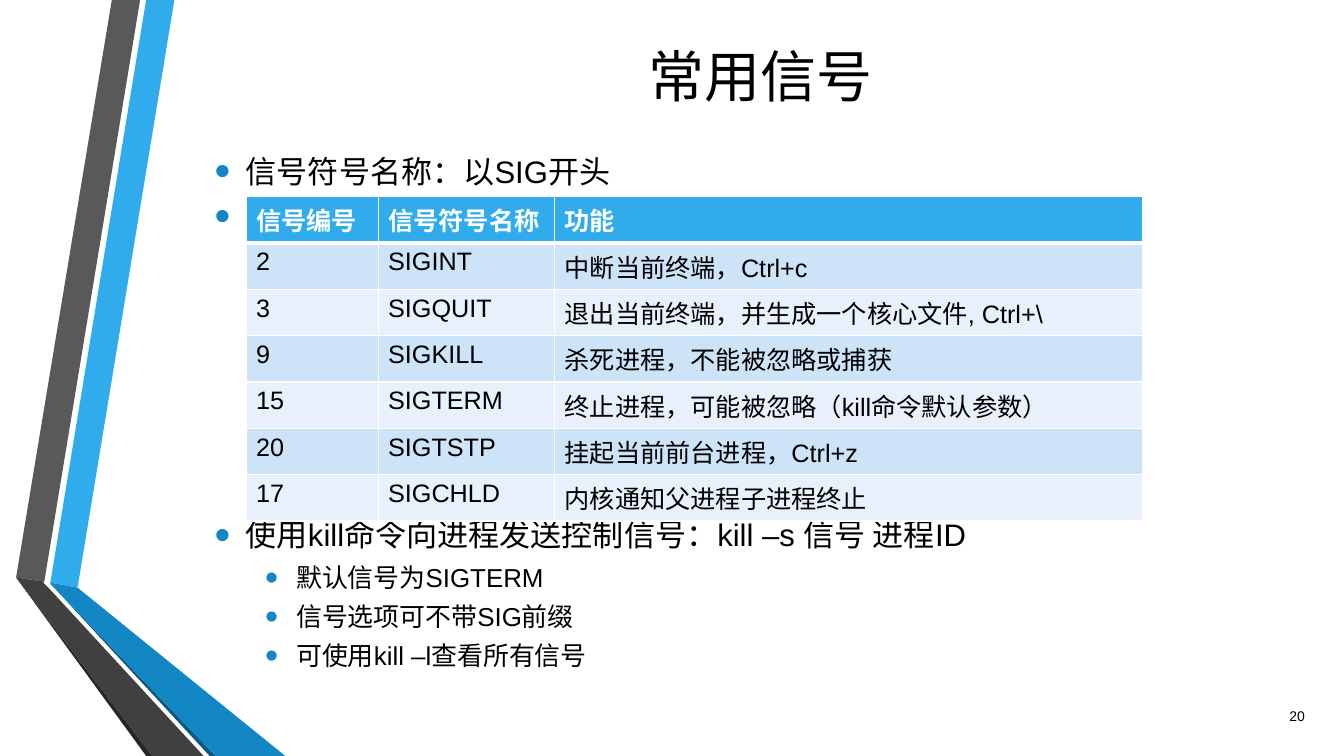
from lxml.etree import SubElement
from pptx import Presentation
from pptx.dml.color import RGBColor
from pptx.enum.text import MSO_ANCHOR, PP_ALIGN
from pptx.oxml.ns import qn
from pptx.util import Pt

PX = 9144
FONT = "Arial"
COLORS = {
    "text": "000000", "white": "FFFFFF", "blue": "30ACEC", "deep_blue": "1287C3",
    "navy": "0C5A82", "gray": "595959", "dark_gray": "404040", "near_black": "262626",
    "band_dark": "CDE3F8", "band_light": "E8F1FB",
}
RIBBONS = [
    ("blue", [(50, 578), (77, 583), (173, 0), (145, 0)]),
    ("gray", [(139, 0), (111, 0), (16, 573), (44, 577)]),
    ("near_black", [(16, 573), (145, 750), (151, 750)]),
    ("navy", [(50, 579), (208, 750), (214, 750)]),
    ("deep_blue", [(50, 578), (50, 579), (214, 750), (283, 750), (77, 583)]),
    ("dark_gray", [(202, 750), (48, 583), (43, 578), (44, 577), (16, 573), (151, 750)]),
]
SIGNALS = [
    ("信号编号", "信号符号名称", "功能"),
    ("2", "SIGINT", "中断当前终端，Ctrl+c"),
    ("3", "SIGQUIT", "退出当前终端，并生成一个核心文件, Ctrl+\\"),
    ("9", "SIGKILL", "杀死进程，不能被忽略或捕获"),
    ("15", "SIGTERM", "终止进程，可能被忽略（kill命令默认参数）"),
    ("20", "SIGTSTP", "挂起当前前台进程，Ctrl+z"),
    ("17", "SIGCHLD", "内核通知父进程子进程终止"),
]
COLUMN_WIDTHS = (131, 175, 583)
NAMING_POINTS = [("信号符号名称：以SIG开头", 0), (" ", 0)]
KILL_POINTS = [
    ("使用kill命令向进程发送控制信号：kill –s 信号 进程ID", 0),
    ("默认信号为SIGTERM", 1),
    ("信号选项可不带SIG前缀", 1),
    ("可使用kill –l查看所有信号", 1),
]


def rgb(name):
    """Return the named colour."""
    return RGBColor.from_string(COLORS[name])


def scaled(box):
    """Turn a box in px into EMU."""
    return [length * PX for length in box]


def write(paragraph, text, size=18, color="text", bold=False, align=PP_ALIGN.LEFT):
    """Put formatted text into a paragraph."""
    run = paragraph.add_run()
    run.text = text
    run.font.name = FONT
    run.font.size = Pt(size)
    run.font.bold = bold
    run.font.color.rgb = rgb(color)
    paragraph.alignment = align


def add_bullet(paragraph, left):
    """Give a paragraph a round bullet and a hanging indent."""
    properties = paragraph._p.get_or_add_pPr()
    properties.set("marL", str(left * PX))
    properties.set("indent", str(-31 * PX))
    color = SubElement(properties, qn("a:buClr"))
    SubElement(color, qn("a:srgbClr"), val=COLORS["deep_blue"])
    SubElement(properties, qn("a:buSzPct"), val="145000")
    SubElement(properties, qn("a:buFont"), typeface=FONT)
    SubElement(properties, qn("a:buChar"), char="•")


def add_frame(slide, box, anchor=MSO_ANCHOR.TOP):
    """Add a wrapping text box and return its text frame."""
    frame = slide.shapes.add_textbox(*scaled(box)).text_frame
    frame.word_wrap = True
    frame.vertical_anchor = anchor
    return frame


def add_label(slide, box, text, **text_format):
    """Add one line of text, centred vertically in its box."""
    frame = add_frame(slide, box, MSO_ANCHOR.MIDDLE)
    write(frame.paragraphs[0], text, **text_format)


def add_points(slide, box, points):
    """Add a list of bulleted points on two levels."""
    frame = add_frame(slide, box)
    frame.margin_top = 0
    for index, (text, level) in enumerate(points):
        paragraph = frame.add_paragraph() if index else frame.paragraphs[0]
        paragraph.level = level
        paragraph.line_spacing = 0.9
        paragraph.space_before = Pt(2 if index else 0)
        paragraph.space_after = Pt(6)
        add_bullet(paragraph, 81 if level else 31)
        write(paragraph, text, size=18.5 if level else 22.2)


def add_ribbons(slide, box):
    """Draw the folded ribbons from the top left of the box."""
    left, top = scaled(box)[:2]
    for color, points in RIBBONS:
        builder = slide.shapes.build_freeform(*points[0], scale=PX)
        builder.add_line_segments(points[1:], close=True)
        shape = builder.convert_to_shape(left, top)
        shape.shadow.inherit = False
        shape.fill.solid()
        shape.fill.fore_color.rgb = rgb(color)
        shape.line.fill.background()


def add_borders(cell, row):
    """Draw white cell borders, heavier under the header row."""
    properties = cell._tc.get_or_add_tcPr()
    widths = {"lnL": 1, "lnR": 1, "lnT": 3 if row == 1 else 1, "lnB": 1 if row else 3}
    for side, width in widths.items():
        line = SubElement(properties, qn(f"a:{side}"), w=str(Pt(width)))
        fill = SubElement(line, qn("a:solidFill"))
        SubElement(fill, qn("a:srgbClr"), val=COLORS["white"])


def add_signal_table(slide, box):
    """Add the banded table of signals."""
    table = slide.shapes.add_table(len(SIGNALS), len(COLUMN_WIDTHS), *scaled(box)).table
    table.horz_banding = False
    for column, width in zip(table.columns, COLUMN_WIDTHS):
        column.width = width * PX
    for row, texts in enumerate(SIGNALS):
        header = row == 0
        band = "blue" if header else ("band_light", "band_dark")[row % 2]
        for column, text in enumerate(texts):
            cell = table.cell(row, column)
            add_borders(cell, row)
            cell.fill.solid()
            cell.fill.fore_color.rgb = rgb(band)
            write(cell.text_frame.paragraphs[0], text,
                  color="white" if header else "text", bold=header)


def main():
    """Build the slide on common signals."""
    presentation = Presentation()
    presentation.slide_width, presentation.slide_height = scaled((1333, 750))
    slide = presentation.slides.add_slide(presentation.slide_layouts[6])
    add_ribbons(slide, (0, 0, 283, 750))
    add_label(slide, (203, 26, 1102, 98), "常用信号", size=40, align=PP_ALIGN.CENTER)
    add_points(slide, (203, 155, 1102, 100), NAMING_POINTS)
    add_points(slide, (203, 516, 1102, 180), KILL_POINTS)
    add_label(slide, (1244, 690, 60, 40), "20", size=10, align=PP_ALIGN.RIGHT)
    add_signal_table(slide, (244, 195, sum(COLUMN_WIDTHS), 46 * len(SIGNALS)))
    presentation.save("out.pptx")


if __name__ == "__main__":
    main()
